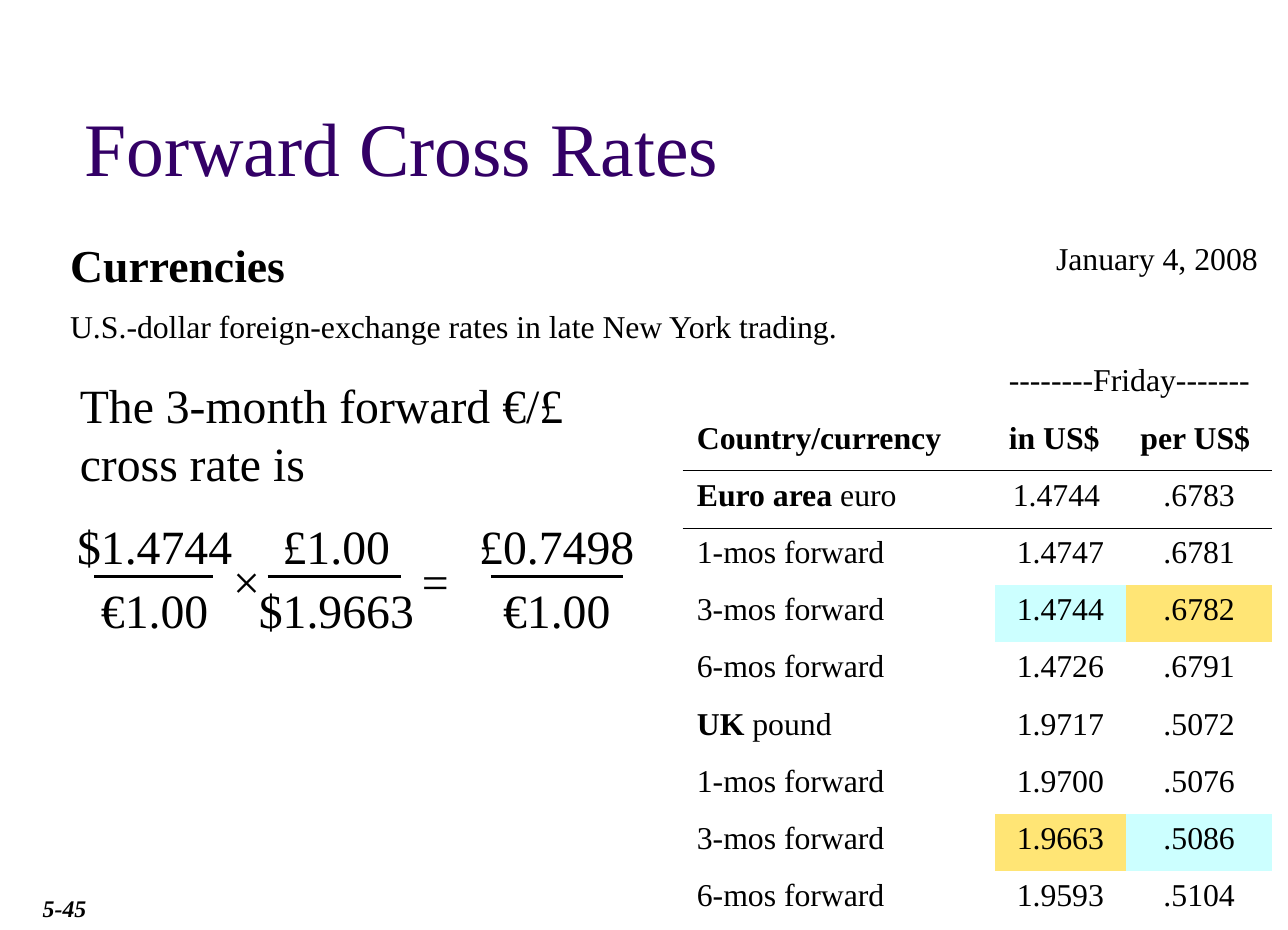
import pptx
import pptx.dml.color
import pptx.enum.shapes
import pptx.enum.text
import pptx.util
from lxml import etree

PX = 9144  # 100 px to the inch
FONT = "Times New Roman"
BLACK, WHITE, PURPLE = "000000", "FFFFFF", "330066"
CYAN, YELLOW = "CCFFFF", "FFE575"
ALIGN = pptx.enum.text.PP_ALIGN
NS = "http://schemas.openxmlformats.org/drawingml/2006/main"
NO_STYLE = "{2D5ABB26-0587-4C30-8999-92F81FD0307C}"

# Content
TITLE = "Forward Cross Rates"
SECTION, DATE = "Currencies", "January 4, 2008"
CAPTION = "U.S.-dollar foreign-exchange rates in late New York trading."
GROUP_HEADER = "--------Friday-------"
HEADERS = ["Country/currency", "in US$", "per US$"]
RATES = [  # bold part, plain part, in US$, per US$
    ("Euro area ", "euro", "1.4744 ", ".6783"),
    ("", "1-mos forward", "1.4747", ".6781"),
    ("", "3-mos forward", "1.4744", ".6782"),
    ("", "6-mos forward", "1.4726", ".6791"),
    ("UK ", "pound", "1.9717", ".5072"),
    ("", "1-mos forward", "1.9700", ".5076"),
    ("", "3-mos forward", "1.9663", ".5086"),
    ("", "6-mos forward", "1.9593", ".5104"),
]
HIGHLIGHTS = {(6, 4): CYAN, (6, 5): YELLOW, (10, 4): YELLOW, (10, 5): CYAN}
COLUMNS = [221, 110, 107, 218, 92, 102]
ROWS = [48, 37] + [40] * 10
MERGES = [(0, 0, 2), (0, 3, 5), (1, 0, 5), (2, 1, 2), (2, 4, 5)]
INTRO = "The 3-month forward €/£ cross rate is"
FRACTIONS = [  # centre, numerator, denominator, bar from, bar to
    (108, "$1.4744", "€1.00", 66, 149),
    (235, "£1.00", "$1.9663", 187, 280),
    (389, "£0.7498", "€1.00", 343, 435),
]
OPERATORS = [(172, "×"), (304, "=")]
PAGE_NUMBER = "5-45"


def px(value):
    return pptx.util.Emu(value * PX)


def rgb(value):
    return pptx.dml.color.RGBColor.from_string(value)


def style(span, size, color=BLACK, bold=False, italic=False):
    span.font.name = FONT
    span.font.size = pptx.util.Pt(size)
    span.font.bold = bold
    span.font.italic = italic
    span.font.color.rgb = rgb(color)


def add_text(page, text, left, top, width, height, size=24,
             align=ALIGN.LEFT, wrap=False, **look):
    box = page.shapes.add_textbox(px(left), px(top), px(width), px(height))
    box.text_frame.word_wrap = wrap
    para = box.text_frame.paragraphs[0]
    para.text = text
    para.alignment = align
    style(para.runs[0], size, **look)


def write_cell(cell, *parts, size=16, align=ALIGN.LEFT):
    """Each part is a (text, bold) pair."""
    para = cell.text_frame.paragraphs[0]
    para.alignment = align
    for text, bold in parts:
        if text:
            span = para.add_run()
            span.text = text
            style(span, size, bold=bold)


def add_border(cell, side):
    line = etree.Element(f"{{{NS}}}{side}", w="5715")
    fill = etree.SubElement(line, f"{{{NS}}}solidFill")
    etree.SubElement(fill, f"{{{NS}}}srgbClr", val=BLACK)
    cell._tc.get_or_add_tcPr().insert(0, line)


def add_rates_table(page):
    frame = page.shapes.add_table(len(ROWS), len(COLUMNS), px(39), px(164),
                                  px(sum(COLUMNS)), px(sum(ROWS)))
    table = frame.table
    table.first_row = table.horz_banding = False
    table._tbl.tblPr.find(f"{{{NS}}}tableStyleId").text = NO_STYLE
    for column, width in zip(table.columns, COLUMNS):
        column.width = px(width)
    for row, height in zip(table.rows, ROWS):
        row.height = px(height)
    for row, first, last in MERGES:
        table.cell(row, first).merge(table.cell(row, last))

    # Headings
    write_cell(table.cell(0, 0), (SECTION, True), size=23)
    write_cell(table.cell(0, 3), (DATE, False), align=ALIGN.RIGHT)
    write_cell(table.cell(1, 0), (CAPTION, False))
    write_cell(table.cell(2, 4), (GROUP_HEADER, False))
    for column, header in enumerate(HEADERS, 3):
        write_cell(table.cell(3, column), (header, True))
        add_border(table.cell(3, column), "lnB")
        add_border(table.cell(4, column), "lnT")

    # Rates
    for row, (country, label, *values) in enumerate(RATES, 4):
        write_cell(table.cell(row, 3), (country, True), (label, False))
        for column, value in enumerate(values, 4):
            write_cell(table.cell(row, column), (value, False),
                       align=ALIGN.CENTER)

    # Fills, and a small text size so that empty cells keep the row height
    for row in range(len(ROWS)):
        for column in range(len(COLUMNS)):
            cell = table.cell(row, column)
            cell.fill.solid()
            cell.fill.fore_color.rgb = rgb(HIGHLIGHTS.get((row, column), WHITE))
            para = cell.text_frame.paragraphs[0]
            if not para.runs:
                etree.SubElement(para._p, f"{{{NS}}}endParaRPr", sz="1600")


def add_bar(page, start, end, y):
    bar = page.shapes.add_connector(pptx.enum.shapes.MSO_CONNECTOR.STRAIGHT,
                                    px(start), px(y), px(end), px(y))
    bar.line.color.rgb = rgb(BLACK)
    bar.line.width = pptx.util.Pt(1.5)
    etree.SubElement(bar._element.spPr, f"{{{NS}}}effectLst")


def main():
    deck = pptx.Presentation()
    deck.slide_width, deck.slide_height = px(900), px(650)
    page = deck.slides.add_slide(deck.slide_layouts[5])

    # Title
    title = page.shapes.title
    title.left, title.top, title.width, title.height = map(px, (50, 42, 816, 121))
    frame = title.text_frame
    frame.text = TITLE
    frame.auto_size = pptx.enum.text.MSO_AUTO_SIZE.NONE
    frame.vertical_anchor = pptx.enum.text.MSO_ANCHOR.MIDDLE
    frame.margin_left = frame.margin_right = px(9)
    frame.margin_top = frame.margin_bottom = px(4)
    frame.paragraphs[0].alignment = ALIGN.LEFT
    style(frame.paragraphs[0].runs[0], 38, PURPLE)

    add_rates_table(page)

    # Cross rate equation
    add_text(page, INTRO, 46, 258, 427, 90, wrap=True)
    for centre, numerator, denominator, start, end in FRACTIONS:
        for text, top in ((numerator, 356), (denominator, 401)):
            add_text(page, text, centre - 64, top, 128, 50, align=ALIGN.CENTER)
        add_bar(page, start, end, 403)
    for centre, sign in OPERATORS:
        add_text(page, sign, centre - 19, 381, 39, 50)

    # Page number
    add_text(page, PAGE_NUMBER, 20, 620, 58, 30, size=12, bold=True, italic=True)

    deck.save("out.pptx")


if __name__ == "__main__":
    main()
